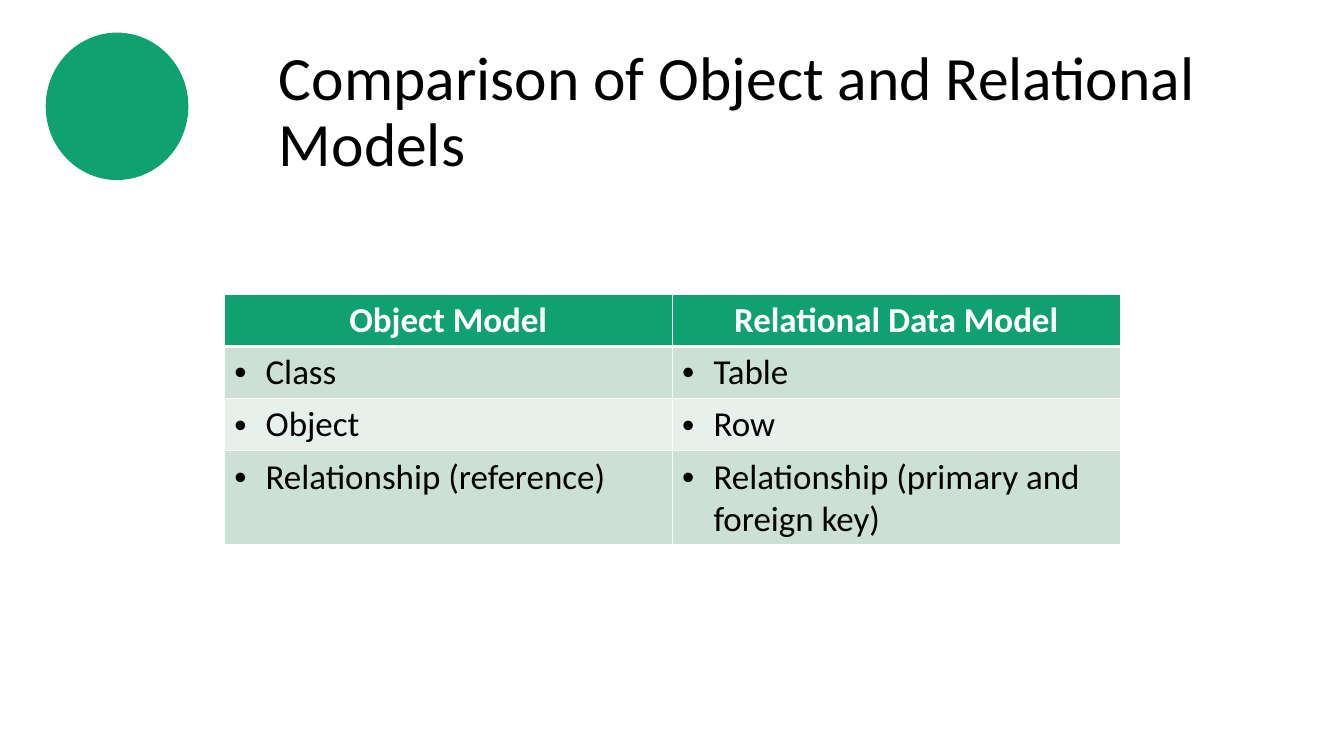
"""Build a slide comparing the object model with the relational data model."""
from dataclasses import dataclass
from typing import Any

from lxml import etree
from pptx import Presentation
from pptx import util as u
from pptx.dml import color
from pptx.enum import shapes, text
from pptx.oxml import ns


@dataclass(frozen=True)
class Theme:
    """Colours, font and type sizes of the slide."""

    green: str = "10A170"
    band_dark: str = "CCE0D5"
    band_light: str = "E7F0EB"
    ink: str = "000000"
    paper: str = "FFFFFF"
    font: str = "Calibri"
    title_size: int = 44
    table_size: int = 25


@dataclass(frozen=True)
class Comparison:
    """One table row that pairs an object term with a relational term."""

    object_term: str
    relational_term: str


THEME = Theme()
HEADINGS = Comparison("Object Model", "Relational Data Model")
COMPARISONS = [
    Comparison("Class", "Table"),
    Comparison("Object", "Row"),
    Comparison("Relationship (reference)", "Relationship (primary and foreign key)"),
]


def apply_format(target: Any, values: dict[str, Any]) -> None:
    """Set each named attribute on the target."""
    for name, value in values.items():
        setattr(target, name, value)


def write(paragraph: Any, wording: str, size: int, ink: str, bold: bool = False) -> None:
    """Write one formatted run into a paragraph."""
    run = paragraph.add_run()
    run.text = wording
    apply_format(run.font, {"name": THEME.font, "size": u.Pt(size), "bold": bold})
    run.font.color.rgb = color.RGBColor.from_string(ink)


def add_bullet(paragraph: Any) -> None:
    """Give a paragraph a hanging round bullet."""
    properties = paragraph._p.get_or_add_pPr()
    indent = u.Cm(0.79)
    properties.set("marL", str(indent))
    properties.set("indent", str(-indent))
    etree.SubElement(properties, ns.qn("a:buFont"), typeface="Arial")
    etree.SubElement(properties, ns.qn("a:buChar"), char="•")


def add_borders(cell: Any, widths: dict[str, int]) -> None:
    """Draw the cell borders, with widths in points by side."""
    properties = cell._tc.get_or_add_tcPr()
    for side, width in widths.items():
        border = etree.SubElement(properties, ns.qn(f"a:ln{side}"), w=str(u.Pt(width)))
        fill = etree.SubElement(border, ns.qn("a:solidFill"))
        etree.SubElement(fill, ns.qn("a:srgbClr"), val=THEME.paper)


def fill_cell(cell: Any, wording: str, row: int) -> None:
    """Write and colour a heading cell or a banded body cell."""
    heading = row == 0
    add_borders(cell, {"L": 1, "R": 1, "T": 3 if row == 1 else 1, "B": 3 if heading else 1})
    band = THEME.band_dark if row % 2 else THEME.band_light
    cell.fill.solid()
    cell.fill.fore_color.rgb = color.RGBColor.from_string(THEME.green if heading else band)
    paragraph = cell.text_frame.paragraphs[0]
    if heading:
        paragraph.alignment = text.PP_ALIGN.CENTER
    else:
        add_bullet(paragraph)
    write(paragraph, wording, THEME.table_size, THEME.paper if heading else THEME.ink, heading)


def add_disc(slide: Any) -> None:
    """Draw the green disc beside the title."""
    disc = slide.shapes.add_shape(
        shapes.MSO_SHAPE.OVAL, u.Cm(1.17), u.Cm(0.84), u.Cm(3.56), u.Cm(3.68)
    )
    disc.shadow.inherit = False
    green = color.RGBColor.from_string(THEME.green)
    for paint in (disc.fill, disc.line.fill):
        paint.solid()
        paint.fore_color.rgb = green
    disc.line.width = u.Pt(1)


def add_title(slide: Any, wording: str) -> None:
    """Add the slide title."""
    title = slide.shapes.add_textbox(u.Cm(6.78), u.Cm(1.02), u.Cm(24.77), u.Cm(3.68))
    apply_format(title.text_frame, {
        "word_wrap": True,
        "vertical_anchor": text.MSO_ANCHOR.MIDDLE,
        "margin_left": u.Cm(0.25),
        "margin_right": u.Cm(0.25),
        "margin_top": u.Cm(0.13),
        "margin_bottom": u.Cm(0.13),
    })
    paragraph = title.text_frame.paragraphs[0]
    paragraph.line_spacing = 0.9
    write(paragraph, wording, THEME.title_size, THEME.ink)


def add_comparison_table(slide: Any, rows: list[Comparison]) -> None:
    """Add the table that sets both models side by side."""
    row_height = u.Cm(1.04)
    comparison = slide.shapes.add_table(
        len(rows), 2, u.Cm(5.65), u.Cm(7.42), u.Cm(22.58), row_height * len(rows)
    ).table
    for index, pair in enumerate(rows):
        for column, wording in enumerate((pair.object_term, pair.relational_term)):
            fill_cell(comparison.cell(index, column), wording, index)


def main() -> None:
    """Build and save the slide."""
    deck = Presentation()
    apply_format(deck, {"slide_width": u.Cm(33.87), "slide_height": u.Cm(19.05)})
    slide = deck.slides.add_slide(deck.slide_layouts[6])
    add_disc(slide)
    add_title(slide, "Comparison of Object and Relational Models")
    add_comparison_table(slide, [HEADINGS, *COMPARISONS])
    deck.save("out.pptx")


if __name__ == "__main__":
    main()
